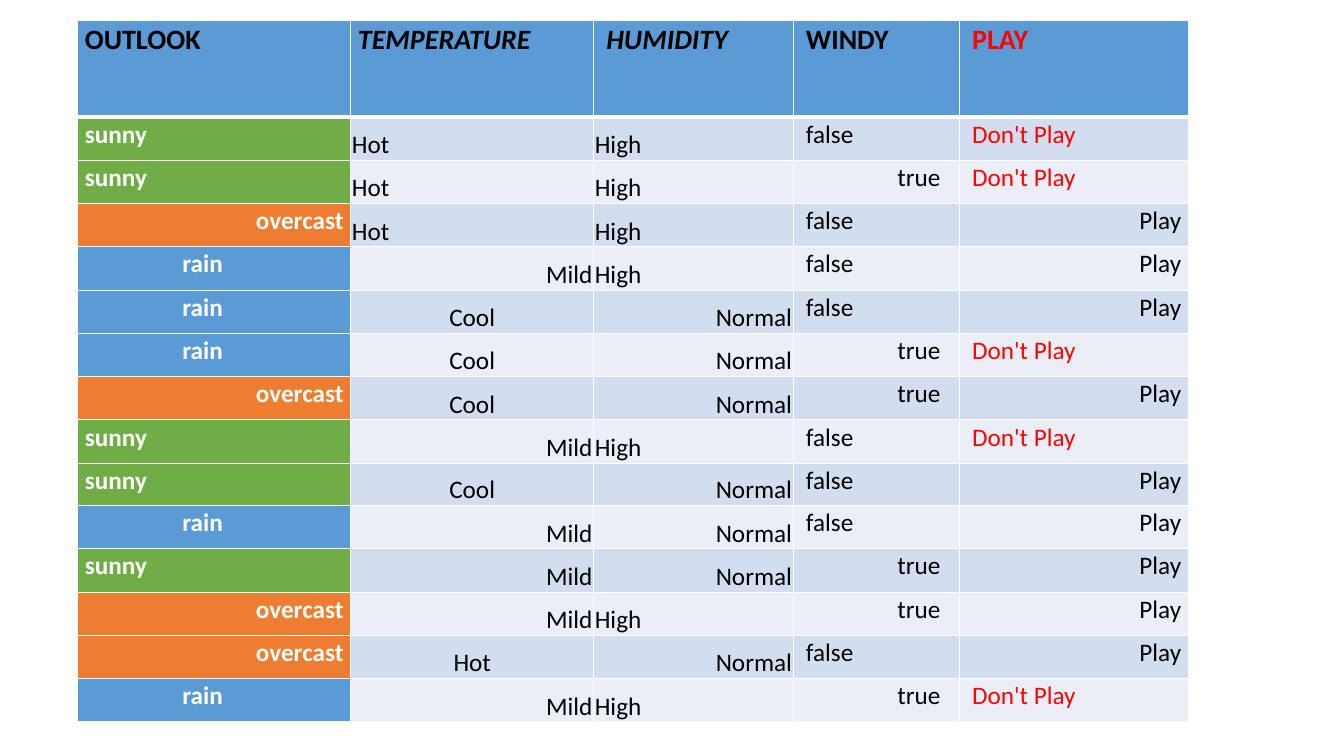
from dataclasses import dataclass

from lxml import etree
from pptx import Presentation
from pptx.dml.color import RGBColor
from pptx.enum import text
from pptx.oxml import ns
from pptx.util import Cm, Pt


@dataclass(frozen=True)
class Theme:
    font: str = "Calibri"
    header_size: int = 20
    body_size: int = 18
    black: str = "000000"
    white: str = "FFFFFF"
    red: str = "FF0000"
    blue: str = "5B9BD5"
    green: str = "70AD47"
    orange: str = "ED7D31"
    bands: tuple = ("D2DEEF", "EAEFF7")


theme = Theme()
LEFT, CENTER, RIGHT = (text.PP_ALIGN.LEFT, text.PP_ALIGN.CENTER,
                       text.PP_ALIGN.RIGHT)

headers = ["OUTLOOK", "TEMPERATURE", "HUMIDITY", "WINDY", "PLAY"]
days = [
    ("sunny", "Hot", "High", "false", "Don't Play"),
    ("sunny", "Hot", "High", "true", "Don't Play"),
    ("overcast", "Hot", "High", "false", "Play"),
    ("rain", "Mild", "High", "false", "Play"),
    ("rain", "Cool", "Normal", "false", "Play"),
    ("rain", "Cool", "Normal", "true", "Don't Play"),
    ("overcast", "Cool", "Normal", "true", "Play"),
    ("sunny", "Mild", "High", "false", "Don't Play"),
    ("sunny", "Cool", "Normal", "false", "Play"),
    ("rain", "Mild", "Normal", "false", "Play"),
    ("sunny", "Mild", "Normal", "true", "Play"),
    ("overcast", "Mild", "High", "true", "Play"),
    ("overcast", "Hot", "Normal", "false", "Play"),
    ("rain", "Mild", "High", "true", "Don't Play"),
]
outlook_fills = {"sunny": theme.green, "overcast": theme.orange,
                 "rain": theme.blue}
alignments = {"overcast": RIGHT, "rain": CENTER, "Mild": RIGHT,
              "Cool": CENTER, "Normal": RIGHT, "true": RIGHT, "Play": RIGHT}
pad, tight, indent = Cm(0.18), Cm(0.03), Cm(0.32)
right_margins = {"rain": Cm(0.77), "true": Cm(0.48)}
column_widths = [6.88, 6.12, 5.03, 4.19, 5.77]
row_heights = [2.44] + [1.09] * 8 + [1.07] + [1.09] * 5


def add_borders(cell, widths):
    """Draw white left, right, top and bottom edges, with widths in points."""
    properties = cell._tc.get_or_add_tcPr()
    for side, width in zip("LRTB", widths):
        line = etree.SubElement(properties, ns.qn(f"a:ln{side}"),
                                w=str(Pt(width)))
        fill = etree.SubElement(line, ns.qn("a:solidFill"))
        etree.SubElement(fill, ns.qn("a:srgbClr"), val=theme.white)


def fill_cell(cell, words, fill, color, cell_format, para_format, font_format):
    cell.fill.solid()
    cell.fill.fore_color.rgb = RGBColor.from_string(fill)
    para = cell.text_frame.paragraphs[0]
    span = para.add_run()
    span.text = words
    span.font.color.rgb = RGBColor.from_string(color)
    for target, values in ((cell, cell_format), (para, para_format),
                           (span.font, font_format)):
        for name, value in values.items():
            setattr(target, name, value)


deck = Presentation()
deck.slide_width, deck.slide_height = Cm(33.87), Cm(19.05)
page = deck.slides.add_slide(deck.slide_layouts[6])
table = page.shapes.add_table(
    len(row_heights), len(headers), Cm(1.96), Cm(0.51),
    Cm(sum(column_widths)), Cm(sum(row_heights))).table
for column, width in zip(table.columns, column_widths):
    column.width = Cm(width)
for row, height in zip(table.rows, row_heights):
    row.height = Cm(height)

for row_index, record in enumerate([headers] + days):
    is_header = row_index == 0
    for column_index, words in enumerate(record):
        cell = table.cell(row_index, column_index)
        is_outlook = column_index == 0
        is_weather = column_index in (1, 2) and not is_header

        fill = theme.bands[(row_index - 1) % 2]
        color = theme.black
        if is_header:
            fill = theme.blue
        elif is_outlook:
            fill, color = outlook_fills[words], theme.white
        if words in ("PLAY", "Don't Play"):
            color = theme.red

        alignment = alignments.get(words, LEFT)
        if (row_index, words) == (13, "Hot"):
            alignment = CENTER
        is_indented = (column_index > 2 or words == "HUMIDITY")
        side = tight if is_weather else pad
        cell_format = {
            "margin_left": indent if is_indented else side,
            "margin_right": right_margins.get(words, side),
            "margin_top": tight if is_weather else 0,
            "margin_bottom": 0,
            "vertical_anchor": (text.MSO_ANCHOR.BOTTOM if is_weather
                                else text.MSO_ANCHOR.TOP),
        }
        para_format = {"alignment": alignment,
                       "line_spacing": 1.0 if is_weather else 1.07}
        font_format = {
            "name": theme.font,
            "size": Pt(theme.header_size if is_header else theme.body_size),
            "bold": is_header or is_outlook,
            "italic": words in ("TEMPERATURE", "HUMIDITY"),
        }
        add_borders(cell, (1, 1, 3 if row_index == 1 else 1,
                           3 if is_header else 1))
        fill_cell(cell, words, fill, color, cell_format, para_format,
                  font_format)

deck.save("out.pptx")
